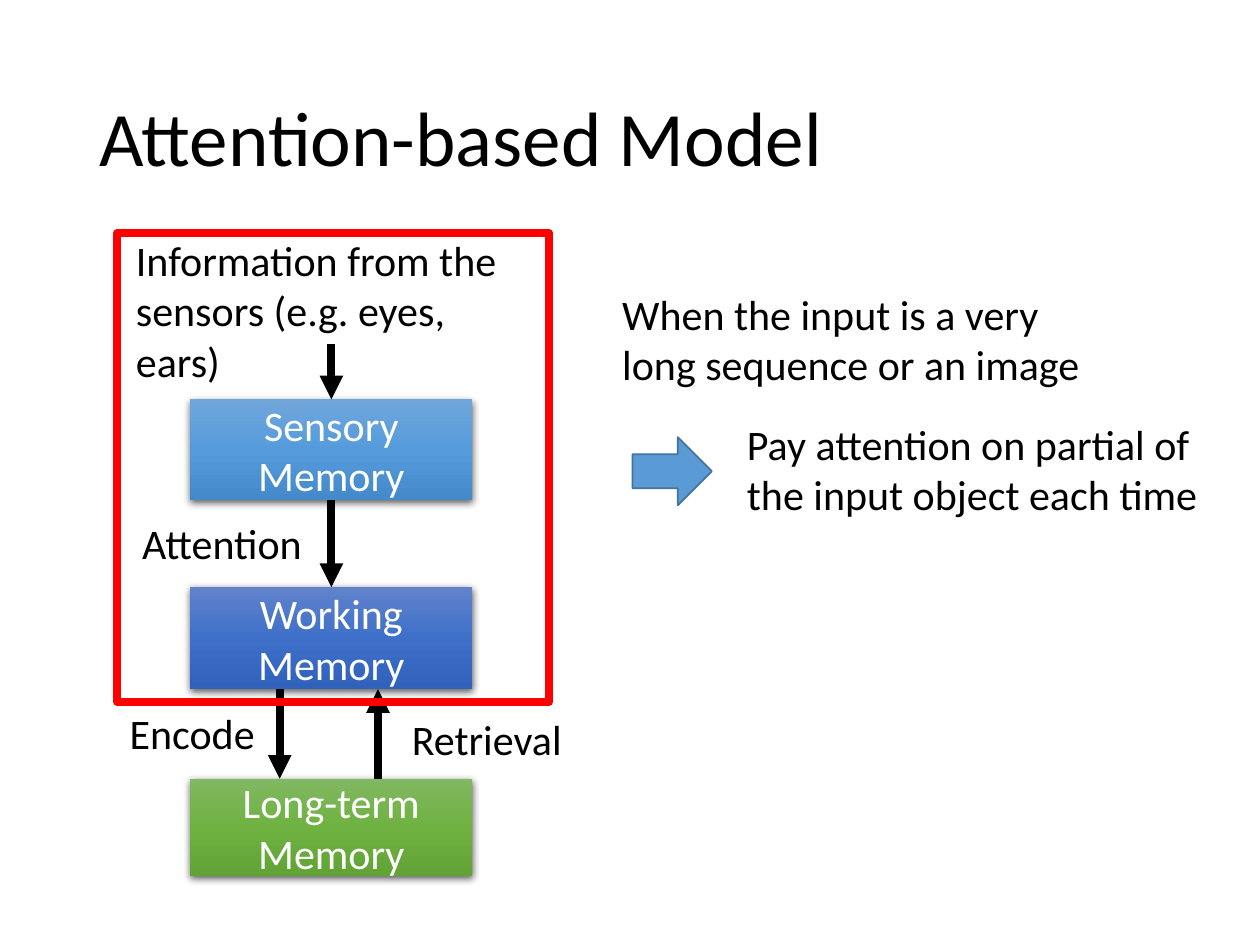
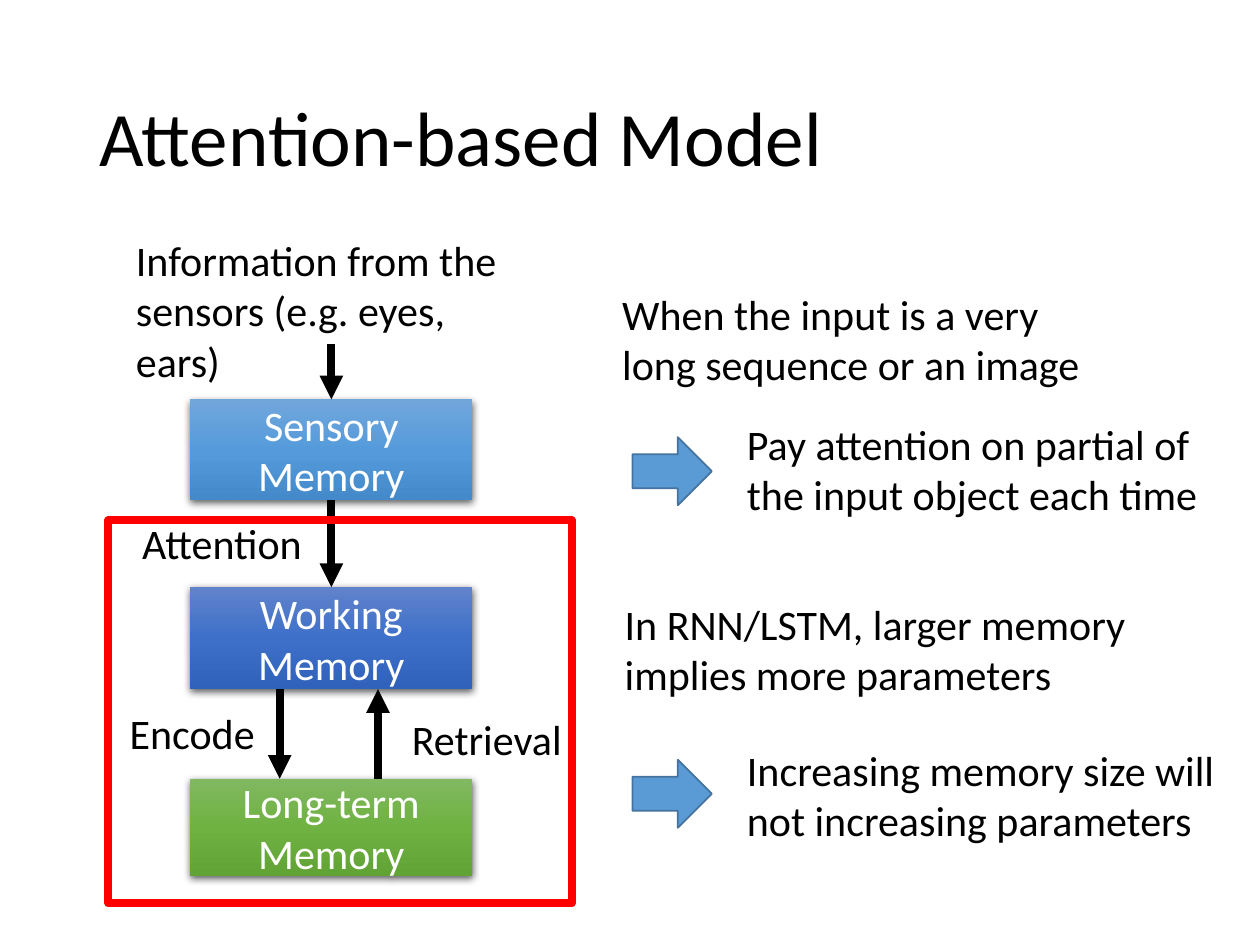
from copy import deepcopy
from dataclasses import dataclass

from lxml import etree
from pptx import Presentation
from pptx import util as u
from pptx.dml.color import RGBColor
from pptx.enum import shapes, text
from pptx.oxml.ns import qn


@dataclass(frozen=True)
class Theme:
    font: str = "Calibri"
    title_size: int = 44
    body_size: int = 24
    ink: str = "000000"
    paper: str = "FFFFFF"
    frame: str = "FF0000"
    pointer: str = "5B9BD5"
    pointer_edge: str = "43739E"
    heavy: float = 4.5
    thin: float = 1


THEME = Theme()
TITLE = "Attention-based Model"
TITLE_AREA = (0.69, 0.4, 8.62, 1.45)

MEMORY_LEFT, MEMORY_WIDTH = 1.51, 2.24
MEMORIES = [
    ("Sensory Memory", 3.17, 0.8, ("71A6DB", "559BDB", "448ACA")),
    ("Working Memory", 4.66, 0.81, ("6183CB", "3E70CA", "3062BB")),
    ("Long-term Memory", 6.18, 0.77, ("81B861", "6FB242", "62A336")),
]
STAGE_LABELS = [
    ("Information from the sensors (e.g. eyes, ears)", (0.98, 1.81, 3.38, 0.91)),
    ("Attention", (1.03, 4.06, 1.69, 0.5)),
    ("Encode", (0.93, 5.57, 1.52, 0.5)),
    ("Retrieval", (3.17, 5.61, 1.52, 0.5)),
]
INPUT_START = 2.73
ENCODE_X, RETRIEVAL_X = 2.22, 3.0

LONG_INPUT = {
    "premise": ("When the input is a very long sequence or an image", (4.84, 2.24, 4.04, 0.91)),
    "conclusion": "Pay attention on partial of the input object each time",
    "top": 3.27,
    "pointer_drop": 0.2,
}
LARGE_MEMORY = {
    "premise": ("In RNN/LSTM, larger memory implies more parameters", (4.86, 4.7, 4.67, 0.91)),
    "conclusion": "Increasing memory size will not increasing parameters",
    "top": 5.86,
    "pointer_drop": 0.17,
}
SLIDES = [
    {"focus": (0.93, 1.85, 3.43, 3.72), "arguments": [LONG_INPUT]},
    {"focus": (0.86, 4.13, 3.68, 3.04), "arguments": [LONG_INPUT, LARGE_MEMORY]},
]


def rgb(value):
    return RGBColor.from_string(value)


def inches(values):
    return [u.Inches(value) for value in values]


def write(frame, words, size, color, align=text.PP_ALIGN.LEFT, spacing=None):
    frame.word_wrap = True
    paragraph = frame.paragraphs[0]
    paragraph.alignment = align
    if spacing:
        paragraph.line_spacing = spacing
    run = paragraph.add_run()
    run.text = words
    run.font.name = THEME.font
    run.font.size = u.Pt(size)
    run.font.color.rgb = rgb(color)


def add_label(slide, words, area):
    frame = slide.shapes.add_textbox(*inches(area)).text_frame
    frame.auto_size = text.MSO_AUTO_SIZE.SHAPE_TO_FIT_TEXT
    write(frame, words, THEME.body_size, THEME.ink)


def add_title(slide):
    frame = slide.shapes.add_textbox(*inches(TITLE_AREA)).text_frame
    frame.vertical_anchor = text.MSO_ANCHOR.MIDDLE
    write(frame, TITLE, THEME.title_size, THEME.ink, spacing=0.9)


def add_plain_shape(slide, kind, area, edge, weight):
    shape = slide.shapes.add_shape(kind, *inches(area))
    shape.shadow.inherit = False
    shape.line.color.rgb = rgb(edge)
    shape.line.width = u.Pt(weight)
    return shape


def add_gradient(shape, colors):
    shape.fill.gradient()
    shape.fill.gradient_angle = 270
    stop_list = shape.element.spPr.find(".//" + qn("a:gsLst"))
    stop_list.insert(1, deepcopy(stop_list[0]))
    for index, (stop, color) in enumerate(zip(shape.fill.gradient_stops, colors)):
        stop.position = index / (len(colors) - 1)
        stop.color.rgb = rgb(color)


def add_soft_shadow(shape):
    shape.shadow.inherit = False
    effects = shape.element.spPr.find(qn("a:effectLst"))
    shadow = etree.SubElement(
        effects, qn("a:outerShdw"), blurRad=str(u.Pt(4.5)), dist=str(u.Pt(1.5)),
        dir=str(90 * 60000), algn="ctr", rotWithShape="0")
    color = etree.SubElement(shadow, qn("a:srgbClr"), val=THEME.ink)
    etree.SubElement(color, qn("a:alpha"), val="63000")


def add_memory(slide, words, top, height, colors):
    memory = slide.shapes.add_shape(
        shapes.MSO_SHAPE.RECTANGLE, *inches((MEMORY_LEFT, top, MEMORY_WIDTH, height)))
    add_gradient(memory, colors)
    add_soft_shadow(memory)
    memory.line.fill.background()
    memory.text_frame.vertical_anchor = text.MSO_ANCHOR.MIDDLE
    write(memory.text_frame, words, THEME.body_size, THEME.paper, text.PP_ALIGN.CENTER)
    return memory


def add_arrow(slide, x, start, end):
    arrow = slide.shapes.add_connector(
        shapes.MSO_CONNECTOR.STRAIGHT, *inches((x, start, x, end)))
    arrow.line.color.rgb = rgb(THEME.ink)
    arrow.line.width = u.Pt(THEME.heavy)
    etree.SubElement(arrow.line._get_or_add_ln(), qn("a:tailEnd"), type="triangle")
    etree.SubElement(arrow._element.spPr, qn("a:effectLst"))
    return arrow


def add_memory_flow(slide):
    sensory, working, _ = [add_memory(slide, *memory) for memory in MEMORIES]
    sensory_top, working_top, long_term_top = [memory[1] for memory in MEMORIES]
    sensory_bottom, working_bottom, _ = [top + height for _, top, height, _ in MEMORIES]
    center = MEMORY_LEFT + MEMORY_WIDTH / 2

    sensing = add_arrow(slide, center, INPUT_START, sensory_top)
    sensing.end_connect(sensory, 0)
    attention = add_arrow(slide, center, sensory_bottom, working_top)
    attention.begin_connect(sensory, 2)
    attention.end_connect(working, 0)
    add_arrow(slide, ENCODE_X, working_bottom, long_term_top)
    add_arrow(slide, RETRIEVAL_X, long_term_top, working_bottom)
    for words, area in STAGE_LABELS:
        add_label(slide, words, area)


def add_argument(slide, argument):
    add_label(slide, *argument["premise"])
    add_label(slide, argument["conclusion"], (5.83, argument["top"], 4.04, 0.91))
    pointer_top = argument["top"] + argument["pointer_drop"]
    pointer = add_plain_shape(
        slide, shapes.MSO_SHAPE.RIGHT_ARROW, (5.02, pointer_top, 0.63, 0.54),
        THEME.pointer_edge, THEME.thin)
    pointer.fill.solid()
    pointer.fill.fore_color.rgb = rgb(THEME.pointer)


def main():
    deck = Presentation()
    deck.slide_width, deck.slide_height = inches((10, 7.5))
    for content in SLIDES:
        slide = deck.slides.add_slide(deck.slide_layouts[6])
        add_title(slide)
        add_memory_flow(slide)
        focus = add_plain_shape(
            slide, shapes.MSO_SHAPE.RECTANGLE, content["focus"], THEME.frame, THEME.heavy)
        focus.fill.background()
        for argument in content["arguments"]:
            add_argument(slide, argument)
    deck.save("out.pptx")


if __name__ == "__main__":
    main()
